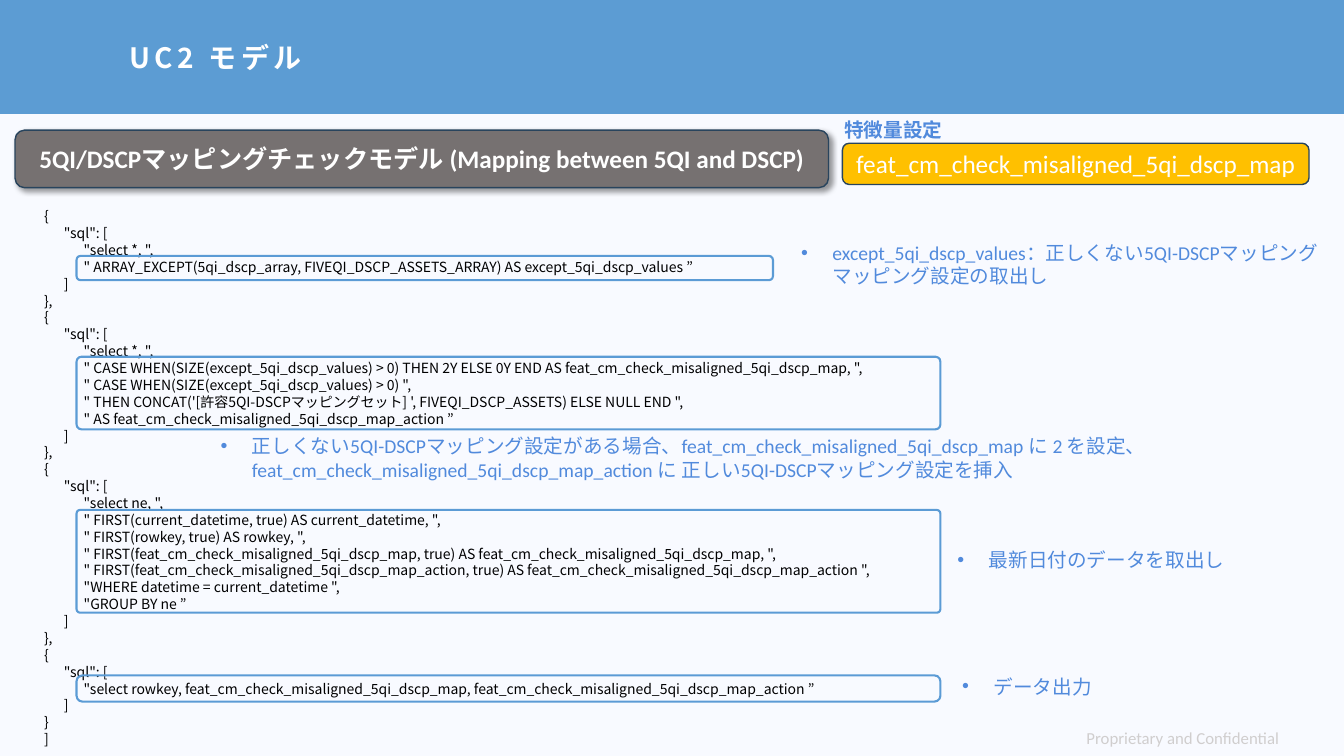
import pptx
import pptx.util
import pptx.dml.color
import pptx.enum.shapes
import pptx.enum.text
import pptx.oxml.ns
from lxml import etree

Cm, Pt = pptx.util.Cm, pptx.util.Pt
SHAPE = pptx.enum.shapes.MSO_SHAPE
ALIGN = pptx.enum.text.PP_ALIGN
ANCHOR = pptx.enum.text.MSO_ANCHOR
qn = pptx.oxml.ns.qn

JP = "Noto Sans CJK JP"
LATIN = "Calibri"
WHITE, BLUE, NAVY = "FFFFFF", "518ADC", "28445D"

TITLE = "UC2 モデル"
MODEL = "5QI/DSCPマッピングチェックモデル (Mapping between 5QI and DSCP)"
FEATURE_LABEL = "特徴量設定"
FEATURE = "feat_cm_check_misaligned_5qi_dscp_map"
FOOTER = "Proprietary and Confidential"

QUERIES = [
    ['"select *, ",',
     '" ARRAY_EXCEPT(5qi_dscp_array, FIVEQI_DSCP_ASSETS_ARRAY) AS except_5qi_dscp_values ”'],
    ['"select *, ",',
     '" CASE WHEN(SIZE(except_5qi_dscp_values) > 0) THEN 2Y ELSE 0Y END AS feat_cm_check_misaligned_5qi_dscp_map, ",',
     '" CASE WHEN(SIZE(except_5qi_dscp_values) > 0) ",',
     '" THEN CONCAT(\'[許容5QI-DSCPマッピングセット] \', FIVEQI_DSCP_ASSETS) ELSE NULL END ",',
     '" AS feat_cm_check_misaligned_5qi_dscp_map_action ”'],
    ['"select ne, ",',
     '" FIRST(current_datetime, true) AS current_datetime, ",',
     '" FIRST(rowkey, true) AS rowkey, ",',
     '" FIRST(feat_cm_check_misaligned_5qi_dscp_map, true) AS feat_cm_check_misaligned_5qi_dscp_map, ",',
     '" FIRST(feat_cm_check_misaligned_5qi_dscp_map_action, true) AS feat_cm_check_misaligned_5qi_dscp_map_action ",',
     '"WHERE datetime = current_datetime ",',
     '"GROUP BY ne ”'],
    ['"select rowkey, feat_cm_check_misaligned_5qi_dscp_map, feat_cm_check_misaligned_5qi_dscp_map_action ”'],
]

FRAME_LEFT = 1.93
FRAMES = [
    (6.45, 17.55, 0.61, 0.165),
    (8.99, 21.77, 1.83, 0.068),
    (12.85, 21.77, 2.59, 0.035),
    (17.02, 21.77, 0.66, 0.223),
]

NOTES = [
    ((19.94, 5.94, 13.69, 1.45),
     "except_5qi_dscp_values：正しくない5QI-DSCPマッピングマッピング設定の取出し"),
    ((5.31, 10.82, 28.32, 1.45),
     "正しくない5QI-DSCPマッピング設定がある場合、feat_cm_check_misaligned_5qi_dscp_map に 2 を設定、 "
     "feat_cm_check_misaligned_5qi_dscp_map_action に 正しい5QI-DSCPマッピング設定を挿入"),
    ((23.88, 13.69, 9.58, 0.86), "最新日付のデータを取出し"),
    ((24.0, 16.87, 9.45, 0.86), "データ出力"),
]


def rgb(value):
    return pptx.dml.color.RGBColor.from_string(value)


def add_run(p, text, size, color, font=LATIN, bold=False):
    r = p.add_run()
    r.text = text
    r.font.size, r.font.name, r.font.bold = Pt(size), font, bold
    r.font.color.rgb = rgb(color)
    etree.SubElement(r._r.get_or_add_rPr(), qn("a:ea"), typeface=JP)
    return r


def add_text(box):
    tf = s.shapes.add_textbox(*map(Cm, box)).text_frame
    tf.word_wrap = True
    return tf


def add_box(kind, box, fill=None, line=None, width=1, adj=None):
    sp = s.shapes.add_shape(kind, *map(Cm, box))
    sp.shadow.inherit = False
    if adj is not None:
        sp.adjustments[0] = adj
    if fill:
        sp.fill.solid()
        sp.fill.fore_color.rgb = rgb(fill)
    else:
        sp.fill.background()
    if line:
        sp.line.color.rgb = rgb(line)
        sp.line.width = Pt(width)
    else:
        sp.line.fill.background()
    return sp


def add_banner(box, text, fill, bold):
    sp = add_box(SHAPE.ROUNDED_RECTANGLE, box, fill, NAVY)
    tf = sp.text_frame
    tf.word_wrap = True
    tf.vertical_anchor = ANCHOR.MIDDLE
    p = tf.paragraphs[0]
    p.alignment = ALIGN.CENTER
    add_run(p, text, 18, WHITE, bold=bold)
    return sp


def add_shadow(sp):
    effects = sp._element.spPr.find(qn("a:effectLst"))
    shadow = etree.SubElement(effects, qn("a:outerShdw"), blurRad=str(Pt(4)),
                              dist=str(Pt(3)), dir="2700000", algn="tl", rotWithShape="0")
    color = etree.SubElement(shadow, qn("a:srgbClr"), val="000000")
    etree.SubElement(color, qn("a:alpha"), val="40000")


def add_note(box, text):
    p = add_text(box).paragraphs[0]
    pPr = p._p.get_or_add_pPr()
    pPr.set("marL", str(Cm(0.79)))
    pPr.set("indent", str(-Cm(0.79)))
    etree.SubElement(pPr, qn("a:buFont"), typeface="Arial")
    etree.SubElement(pPr, qn("a:buChar"), char="•")
    add_run(p, text, 14, BLUE)


def code_lines():
    lines = []
    for query in QUERIES:
        lines += ["{", '\t"sql": [', *("\t\t" + row for row in query), "\t]", "},"]
    return lines[:-1] + ["}", "]"]


def add_code(box):
    tf = add_text(box)
    for i, line in enumerate(code_lines()):
        p = tf.paragraphs[0] if i == 0 else tf.add_paragraph()
        p.line_spacing = Pt(12.05)
        tabs = etree.SubElement(p._p.get_or_add_pPr(), qn("a:tabLst"))
        for stop in (1, 2):
            etree.SubElement(tabs, qn("a:tab"), pos=str(Cm(0.5 * stop)), algn="l")
        add_run(p, line, 10, "000000", JP)


prs = pptx.Presentation()
prs.slide_width, prs.slide_height = Cm(33.87), Cm(19.05)
s = prs.slides.add_slide(prs.slide_layouts[6])
s.background.fill.solid()
s.background.fill.fore_color.rgb = rgb("F8FAFF")

add_box(SHAPE.RECTANGLE, (0, 0, 33.87, 2.87), "5C9CD3")
add_run(add_text((27.13, 18.21, 6.74, 0.76)).paragraphs[0], FOOTER, 12, "D0CECE")

tf = add_text((3.02, 0.46, 29.97, 2.08))
tf.vertical_anchor = ANCHOR.MIDDLE
tf.paragraphs[0].line_spacing = 0.9
r = add_run(tf.paragraphs[0], TITLE, 20, WHITE, JP, True)
r._r.get_or_add_rPr().set("spc", "300")

add_shadow(add_banner((0.38, 3.28, 20.5, 1.45), MODEL, "767171", True))
add_banner((21.23, 3.61, 11.76, 1.04), FEATURE, "FFC000", False)
add_run(add_text((21.03, 2.84, 3.51, 0.86)).paragraphs[0], FEATURE_LABEL, 14, BLUE, bold=True)

add_code((0.86, 5.11, 23.14, 13.94))
for top, width, height, adj in FRAMES:
    add_box(SHAPE.ROUNDED_RECTANGLE, (FRAME_LEFT, top, width, height), None, "5B9BD5", 1.5, adj)
for box, text in NOTES:
    add_note(box, text)

prs.save("out.pptx")
